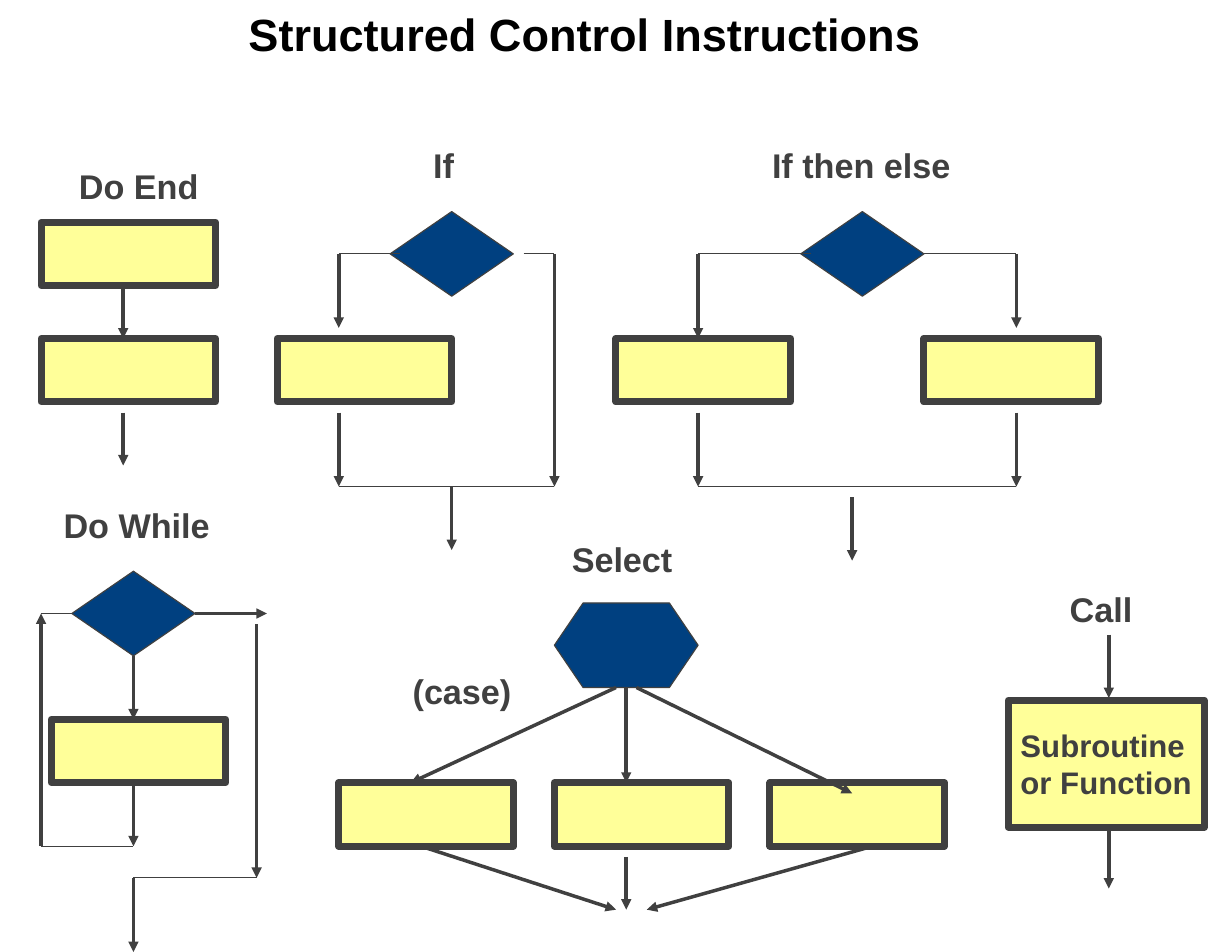
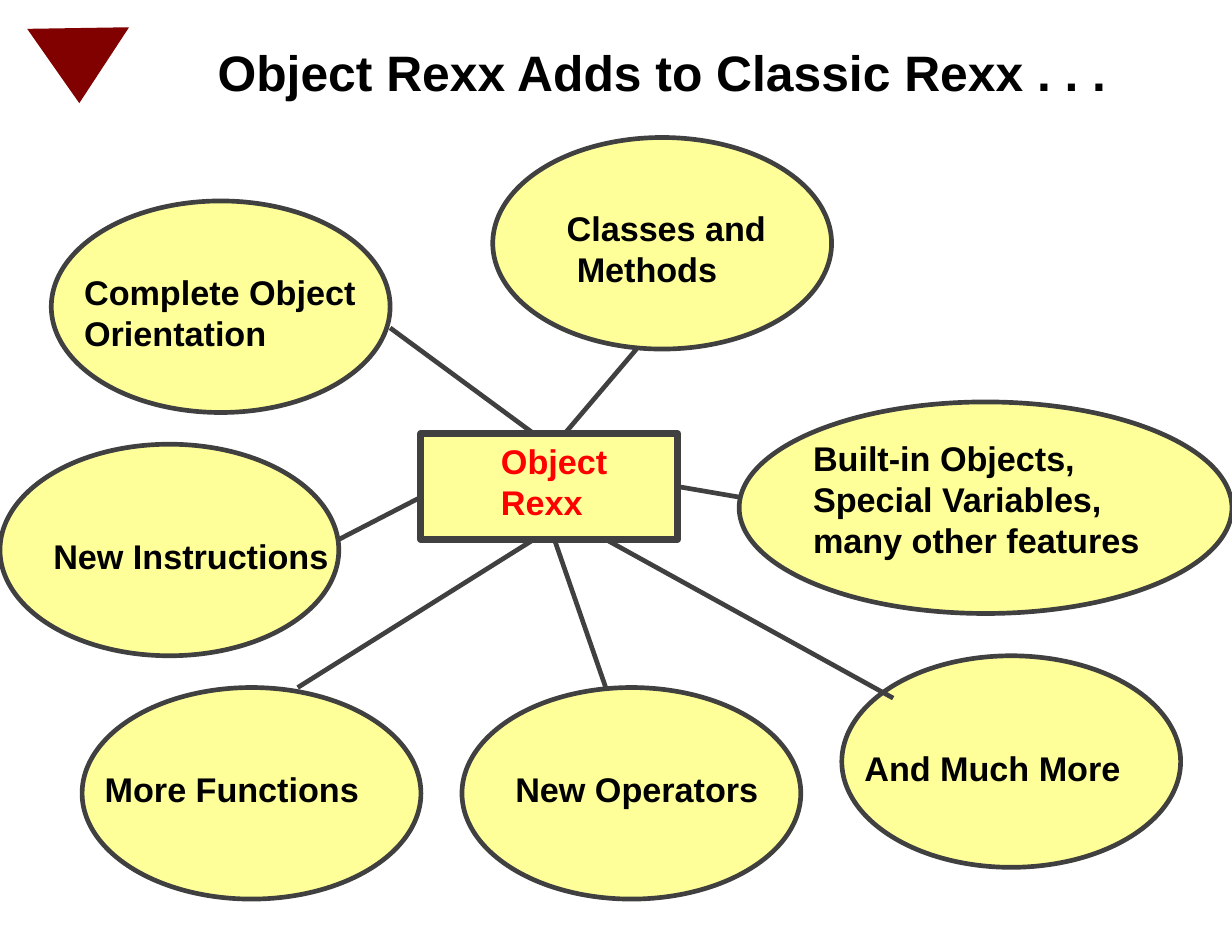
import pptx
import pptx.util
import pptx.dml.color
import pptx.enum.shapes
import pptx.enum.text
import lxml.etree

RGBColor = pptx.dml.color.RGBColor
SHAPE = pptx.enum.shapes.MSO_SHAPE
STRAIGHT = pptx.enum.shapes.MSO_CONNECTOR.STRAIGHT
ANCHOR = pptx.enum.text.MSO_ANCHOR
LEFT = pptx.enum.text.PP_ALIGN.LEFT
NO_FIT = pptx.enum.text.MSO_AUTO_SIZE.NONE
Inches, Pt = pptx.util.Inches, pptx.util.Pt

YELLOW = RGBColor(0xFF, 0xFF, 0x99)
NAVY = RGBColor(0x00, 0x40, 0x80)
GRAY = RGBColor(0x40, 0x40, 0x40)
BLACK = RGBColor(0x00, 0x00, 0x00)
RED = RGBColor(0xFF, 0x00, 0x00)
MAROON = RGBColor(0x81, 0x00, 0x00)

WIDTH, HEIGHT = Inches(11), Inches(8.5)
COLS, ROWS = 120, 90
STEP_SIZE = (17, 6)
DECISION_SIZE = (12, 8)
NODE_SIZE = (33, 20)
TEXT_FRAME = {"margin_left": Inches(0.11), "margin_right": Inches(0.11),
              "margin_top": Inches(0.06), "margin_bottom": Inches(0.06),
              "word_wrap": False, "auto_size": NO_FIT}


def col(n):
    return round(WIDTH * n / COLS)


def row(n):
    return round(HEIGHT * n / ROWS)


def grid(origin, place, size):
    x, y = origin[0] + place[0], origin[1] + place[1]
    return col(x), row(y), col(size[0]), row(size[1])


def write(sp, lines, size, color, anchor=ANCHOR.TOP, indent=0):
    tf = sp.text_frame
    for name, value in {**TEXT_FRAME, "vertical_anchor": anchor}.items():
        setattr(tf, name, value)
    for i, line in enumerate(lines):
        p = tf.paragraphs[0] if i == 0 else tf.add_paragraph()
        p.alignment = LEFT
        if i and indent:
            p._p.get_or_add_pPr().set("marL", str(Inches(indent)))
        r = p.add_run()
        r.text = line
        font = {"name": "Arial", "size": Pt(size), "bold": True}
        for name, value in font.items():
            setattr(r.font, name, value)
        r.font.color.rgb = color


def title(s, place, size, text, points):
    sp = s.shapes.title
    sp.left, sp.top, sp.width, sp.height = grid((0, 0), place, size)
    write(sp, [text], points, BLACK)


def label(s, origin, place, *lines, color=GRAY, indent=0):
    size = (29, 5 * len(lines))
    sp = s.shapes.add_textbox(*grid(origin, place, size))
    write(sp, lines, 22, color, indent=indent)


def block(s, kind, origin, place, size, fill, weight):
    sp = s.shapes.add_shape(kind, *grid(origin, place, size))
    sp.shadow.inherit = False
    sp.fill.solid()
    sp.fill.fore_color.rgb = fill
    if weight:
        sp.line.color.rgb = GRAY
        sp.line.width = Pt(weight)
    else:
        sp.line.fill.background()
    return sp


def steps(s, origin, *places):
    for place in places:
        block(s, SHAPE.RECTANGLE, origin, place, STEP_SIZE, YELLOW, 4.5)


def decision(s, origin, place):
    block(s, SHAPE.FLOWCHART_DECISION, origin, place, DECISION_SIZE, NAVY, 0.75)


def lines(s, origin, ends, weight=0.75, head=False):
    x, y = origin
    for x1, y1, x2, y2 in ends:
        c = s.shapes.add_connector(STRAIGHT, col(x + x1), row(y + y1),
                                   col(x + x2), row(y + y2))
        c.line.color.rgb = GRAY
        c.line.width = Pt(weight)
        sp_pr = c._element.spPr
        if head:
            ln = c.line._get_or_add_ln()
            lxml.etree.SubElement(ln, pptx.oxml.ns.qn("a:tailEnd"), type="triangle")
        lxml.etree.SubElement(sp_pr, pptx.oxml.ns.qn("a:effectLst"))


def arrows(s, origin, *ends):
    lines(s, origin, ends, 2.25, True)


def do_end(s, box):
    label(s, box, (2.5, 0), "Do End")
    steps(s, box, (0, 6), (0, 17))
    arrows(s, box, (8, 12, 8, 17), (8, 24, 8, 29))


def if_block(s, box):
    label(s, box, (14, 0), "If")
    decision(s, box, (11, 7))
    steps(s, box, (0, 19))
    arrows(s, box, (6, 11, 6, 18), (27, 11, 27, 33), (6, 26, 6, 33), (17, 33, 17, 39))
    lines(s, box, [(6, 11, 12, 11), (24, 11, 27, 11), (6, 33, 27, 33)])


def if_then_else(s, box):
    label(s, box, (14, 0), "If then else")
    decision(s, box, (18, 7))
    steps(s, box, (0, 19), (30, 19))
    arrows(s, box, (8, 11, 8, 19), (39, 11, 39, 18), (8, 26, 8, 33),
           (39, 26, 39, 33), (23, 34, 23, 40))
    lines(s, box, [(8, 11, 19, 11), (30, 11, 39, 11), (8, 33, 39, 33)])


def do_while(s, box):
    label(s, box, (1, 0), "Do While")
    decision(s, box, (3, 7))
    steps(s, box, (1, 21))
    arrows(s, box, (9, 15, 9, 21), (9, 27, 9, 33), (0, 33, 0, 11),
           (15, 11, 22, 11), (21, 12, 21, 36), (9, 36, 9, 43))
    lines(s, box, [(0, 33, 9, 33), (0, 11, 3, 11), (9, 36, 21, 36)])


def select(s, box):
    label(s, box, (21.5, 0.3), "Select")
    label(s, box, (6, 12.7), "(case)")
    block(s, SHAPE.FLOWCHART_PREPARATION, box, (21, 7), (14, 8), NAVY, 0.75)
    steps(s, box, *[(21 * i, 24) for i in range(3)])
    arrows(s, box, (28, 15, 28, 24), (29, 15, 50, 25), (27, 15, 7, 24),
           (28, 31, 28, 36), (8, 30, 27, 36), (52, 30, 30, 36))


def call(s, box):
    label(s, box, (5, 0), "Call")
    sp = block(s, SHAPE.RECTANGLE, box, (0.2, 11.2), (19.1, 12), YELLOW, 4.5)
    write(sp, ["Subroutine", "or Function"], 20, GRAY, ANCHOR.MIDDLE)
    arrows(s, box, (10, 5, 10, 11), (10, 23, 10, 29))


def control_slide(s):
    title(s, (23, 0), (68, 6.4), "Structured Control Instructions", 29)
    regions = [(do_end, (4, 15)), (if_block, (27, 13)), (if_then_else, (60, 13)),
               (do_while, (4, 47)), (select, (33, 50)), (call, (98, 55))]
    for region, box in regions:
        region(s, box)


def node(s, box, offset, text, size=NODE_SIZE, indent=0):
    block(s, SHAPE.OVAL, box, (0, 0), size, YELLOW, 3)
    label(s, box, offset, *text, color=BLACK, indent=indent)


def hub(s, box):
    block(s, SHAPE.RECTANGLE, box, (0, 0), (25, 10), YELLOW, 4.5)
    label(s, box, (6.6, 0), "Object", "Rexx", color=RED)
    lines(s, box, [(11, 10, -12, 24), (0, 6, -8, 10), (13, 10, 18, 24),
                   (-3, -10, 11, 0), (21, -8, 14, 0), (31, 6, 25, 5),
                   (18, 10, 46, 25)], 3)


def features_slide(s):
    title(s, (20, 3.3), (90, 6.9), "Object Rexx Adds to Classic Rexx . . .", 32)
    marker = block(s, SHAPE.ISOSCELES_TRIANGLE, (2.7, 2.65), (0, 0), (9.93, 7.1), MAROON, 0)
    marker.rotation = 179.1
    node(s, (8, 65), (1, 7), ["More Functions"])
    node(s, (45, 65), (4, 7), ["New Operators"])
    node(s, (0, 42), (4, 8), ["New Instructions"])
    node(s, (5, 19), (2, 6), ["Complete Object", "Orientation"])
    node(s, (48, 13), (6, 6), ["Classes and", "Methods"], indent=0.09)
    node(s, (72, 38), (6, 2.7),
         ["Built-in Objects,", "Special Variables,", "many other features"], (48, 20))
    node(s, (82, 62), (1, 8), ["And Much More"])
    hub(s, (41, 41))


def main():
    prs = pptx.Presentation()
    prs.slide_width, prs.slide_height = WIDTH, HEIGHT
    for build in (control_slide, features_slide):
        build(prs.slides.add_slide(prs.slide_layouts[5]))
    prs.save("out.pptx")


if __name__ == "__main__":
    main()
